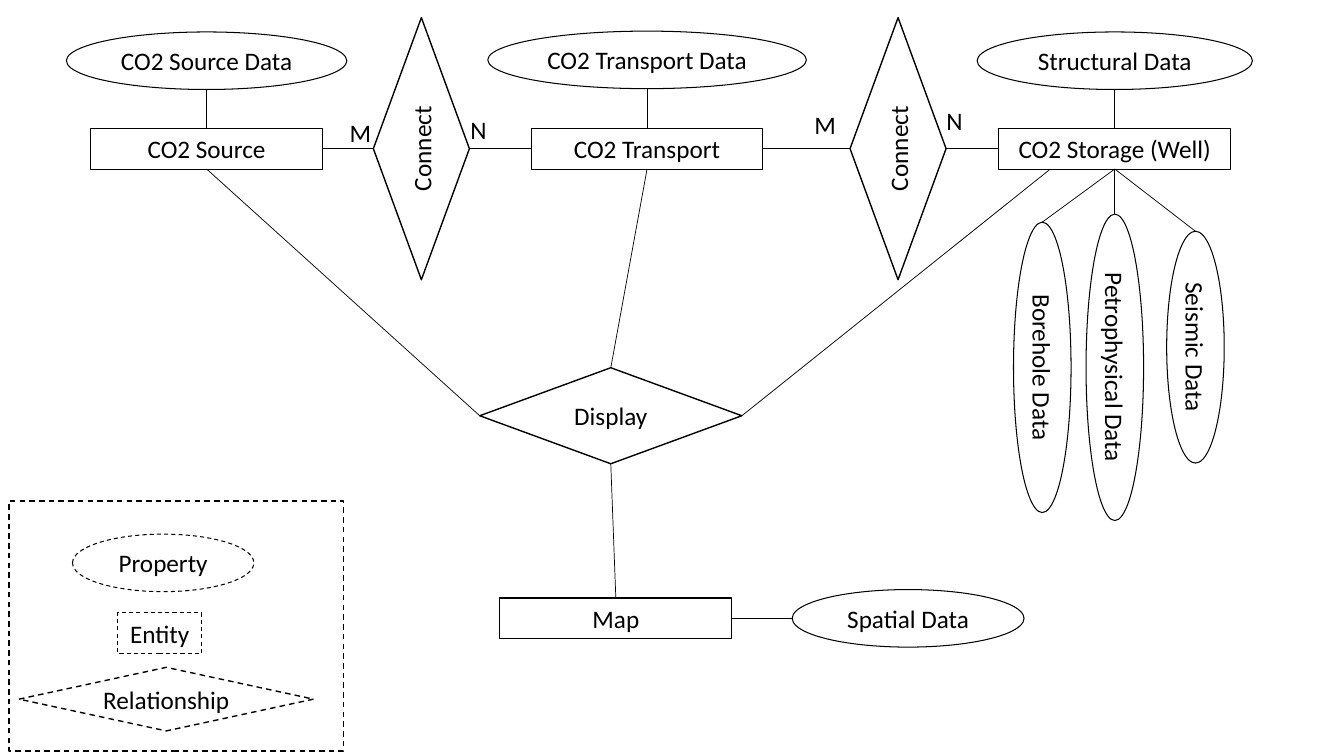
from dataclasses import dataclass
from lxml import etree
from pptx import Presentation
from pptx.dml.color import RGBColor
from pptx.enum import dml, shapes, text
from pptx.oxml import ns
from pptx.util import Pt


@dataclass(frozen=True)
class Theme:
    font: str = "Calibri"
    size: float = 18
    ink: RGBColor = RGBColor(0, 0, 0)
    paper: RGBColor = RGBColor(255, 255, 255)
    thin: float = 0.5
    medium: float = 0.75
    thick: float = 1


THEME = Theme()
SLIDE_SIZE = (960, 540)

# Kinds of node: preset, height, line width
KINDS = {
    "property": (shapes.MSO_SHAPE.OVAL, 41.1, THEME.medium),
    "entity": (shapes.MSO_SHAPE.RECTANGLE, 29.1, THEME.medium),
    "relationship": (shapes.MSO_SHAPE.FLOWCHART_DECISION, 68.6, THEME.thick),
    "frame": (shapes.MSO_SHAPE.RECTANGLE, 178.6, THEME.thick),
}

# Columns and rows that several nodes share
SOURCE_X, TRANSPORT_X, STORAGE_X = 147.6, 462.2, 796.3
DATA_Y, ENTITY_Y, MAP_Y = 43.4, 106.2, 441.7
ENTITY_WIDTH, RELATION_WIDTH = 165.6, 187.2

# Name: kind, label, centre x, centre y, width, rotation
NODES = {
    "source data": ("property", "CO2 Source Data", SOURCE_X, DATA_Y, 200.3, 0),
    "transport data": ("property", "CO2 Transport Data", TRANSPORT_X, DATA_Y - 0.6, 227.6, 0),
    "structural data": ("property", "Structural Data", STORAGE_X, DATA_Y, 196.6, 0),
    "borehole": ("property", "Borehole Data", 744.5, 262.4, 207.4, 90),
    "petrophysical": ("property", "Petrophysical Data", STORAGE_X, 262.4, 218.9, 90),
    "seismic": ("property", "Seismic Data", 853.9, 248, ENTITY_WIDTH, 90),
    "spatial data": ("property", "Spatial Data", 648.7, MAP_Y, ENTITY_WIDTH, 0),
    "source": ("entity", "CO2 Source", SOURCE_X, ENTITY_Y, ENTITY_WIDTH, 0),
    "transport": ("entity", "CO2 Transport", TRANSPORT_X, ENTITY_Y, ENTITY_WIDTH, 0),
    "storage": ("entity", "CO2 Storage (Well)", STORAGE_X, ENTITY_Y, ENTITY_WIDTH, 0),
    "map": ("entity", "Map", 439.9, MAP_Y, ENTITY_WIDTH, 0),
    "display": ("relationship", "Display", 436.3, 297, RELATION_WIDTH, 0),
    "first connect": ("relationship", "Connect", 301, ENTITY_Y, RELATION_WIDTH, 270),
    "second connect": ("relationship", "Connect", 641.5, ENTITY_Y, RELATION_WIDTH, 270),
}

# Kind, label, centre x, centre y, width, height where it differs
LEGEND = [
    ("frame", "", 126, 447.1, 239, None),
    ("property", "Property", 116.6, 402.1, 129.6, None),
    ("entity", "Entity", 114.1, 452.3, 59.8, None),
    ("relationship", "Relationship", 118.8, 499.4, 210.4, 45.4),
]

# From node and side, to node and side, shift of the starting point
LINKS = [
    ("source data", "bottom", "source", "top", 0),
    ("transport data", "bottom", "transport", "top", 0),
    ("structural data", "bottom", "storage", "top", 0),
    ("storage", "bottom", "borehole", "top", 0),
    ("storage", "bottom", "petrophysical", "top", 0),
    ("storage", "bottom", "seismic", "top", 0),
    ("source", "right", "first connect", "left", 0),
    ("first connect", "right", "transport", "left", 0),
    ("transport", "right", "second connect", "left", 0),
    ("second connect", "right", "storage", "left", 0),
    ("source", "bottom", "display", "left", 0),
    ("transport", "bottom", "display", "top", 0),
    ("storage", "bottom", "display", "right", -46),
    ("display", "bottom", "map", "top", 0),
    ("map", "right", "spatial data", "left", 0),
]

# Label, left, top, width
CARDINALITIES = [
    ("M", 242.6, 79.9, 30.2),
    ("N", 329, 77.8, 25.9),
    ("M", 574.6, 74.2, 30.2),
    ("N", 668.9, 72, 25.9),
]
SIDES = {"top": (0, -0.5), "bottom": (0, 0.5), "left": (-0.5, 0), "right": (0.5, 0)}


def write(shape, label, alignment, wrap):
    frame = shape.text_frame
    frame.word_wrap = wrap
    paragraph = frame.paragraphs[0]
    paragraph.alignment = alignment
    run = paragraph.add_run()
    run.text = label
    run.font.name, run.font.size = THEME.font, Pt(THEME.size)
    run.font.color.rgb = THEME.ink


def add_node(slide, kind, label, x, y, width, rotation=0, height=None, dashed=False):
    preset, usual_height, line_width = KINDS[kind]
    height = height or usual_height
    shape = slide.shapes.add_shape(
        preset, Pt(x - width / 2), Pt(y - height / 2), Pt(width), Pt(height))
    shape.rotation = rotation
    shape.shadow.inherit = False
    shape.line.color.rgb = THEME.ink
    shape.line.width = Pt(line_width)
    if dashed:
        shape.line.dash_style = dml.MSO_LINE.DASH
    if kind == "relationship":
        shape.fill.solid()
        shape.fill.fore_color.rgb = THEME.paper
    else:
        shape.fill.background()
    if label:
        write(shape, label, text.PP_ALIGN.CENTER, True)
        if kind == "relationship":
            shape.text_frame.vertical_anchor = text.MSO_ANCHOR.MIDDLE
        else:
            shape.text_frame.vertical_anchor = text.MSO_ANCHOR.TOP
            shape.text_frame.auto_size = text.MSO_AUTO_SIZE.SHAPE_TO_FIT_TEXT


def side_point(name, side):
    kind, _, x, y, width, rotation = NODES[name]
    height = KINDS[kind][1]
    if rotation:
        width, height = height, width
    across, down = SIDES[side]
    return x + across * width, y + down * height


def add_link(slide, start, start_side, end, end_side, shift):
    start_x, start_y = side_point(start, start_side)
    end_x, end_y = side_point(end, end_side)
    connector = slide.shapes.add_connector(
        shapes.MSO_CONNECTOR.STRAIGHT,
        Pt(start_x + shift), Pt(start_y), Pt(end_x), Pt(end_y))
    connector.line.color.rgb = THEME.ink
    connector.line.width = Pt(THEME.thin)
    etree.SubElement(connector._element.spPr, ns.qn("a:effectLst"))


presentation = Presentation()
presentation.slide_width, presentation.slide_height = map(Pt, SLIDE_SIZE)
slide = presentation.slides.add_slide(presentation.slide_layouts[6])

# Diagram
for node in NODES.values():
    add_node(slide, *node)
for link in LINKS:
    add_link(slide, *link)

# Legend
for kind, label, x, y, width, height in LEGEND:
    add_node(slide, kind, label, x, y, width, height=height, dashed=True)

# Cardinalities
for label, left, top, width in CARDINALITIES:
    box = slide.shapes.add_textbox(Pt(left), Pt(top), Pt(width), Pt(KINDS["entity"][1]))
    write(box, label, text.PP_ALIGN.LEFT, False)
    box.text_frame.auto_size = text.MSO_AUTO_SIZE.SHAPE_TO_FIT_TEXT

presentation.save("out.pptx")
